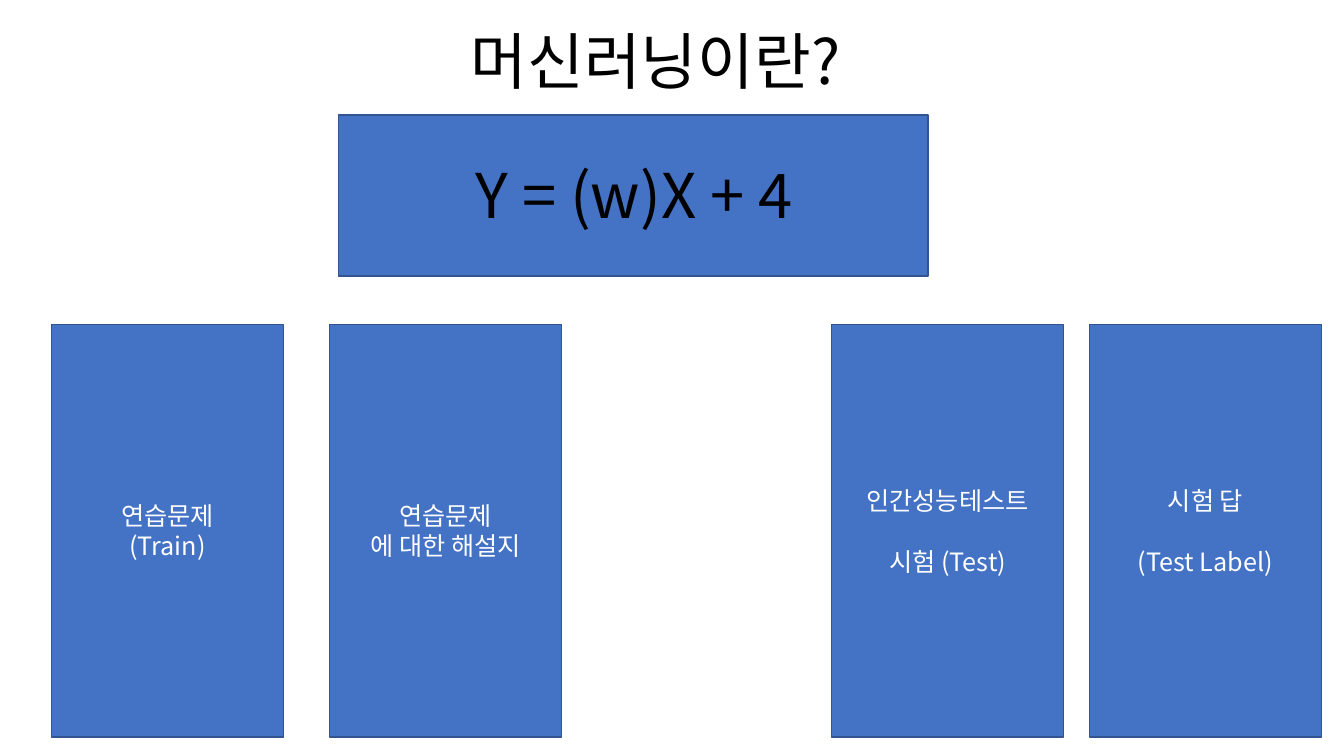
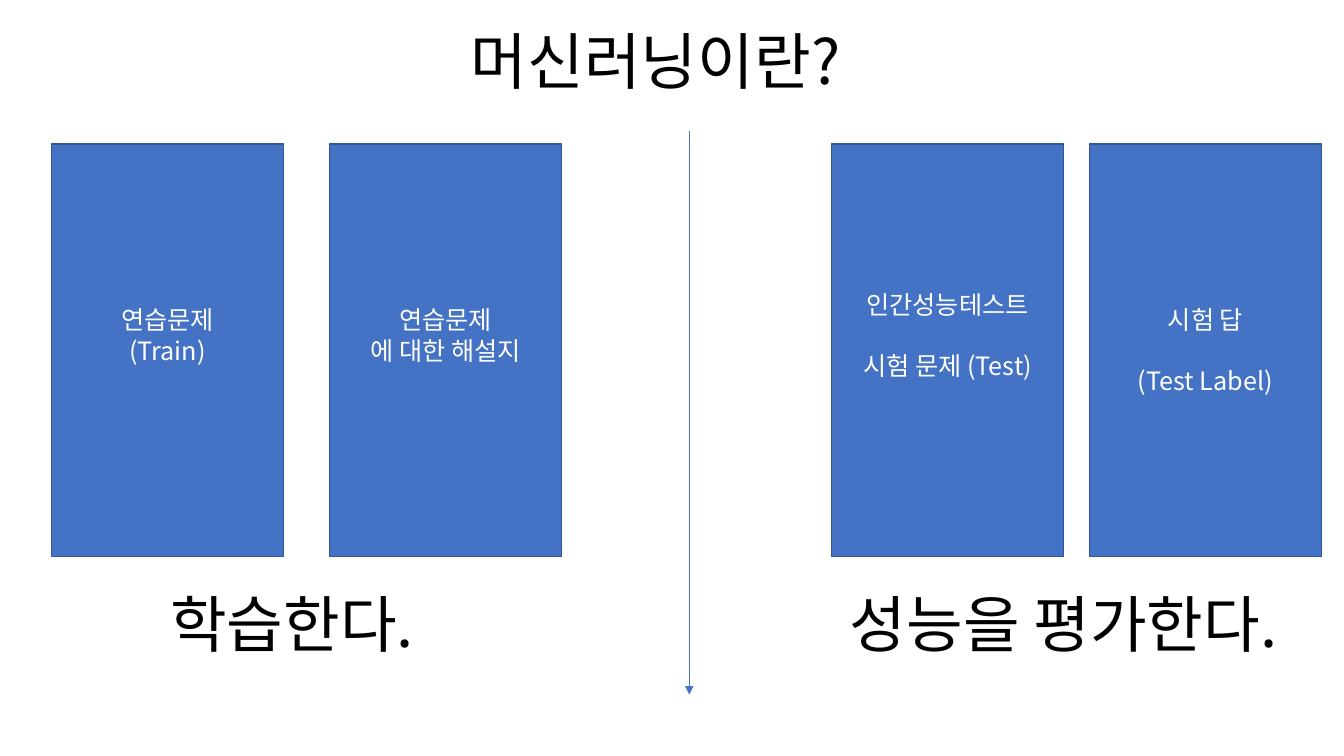
"""Build two slides that explain machine learning through practice and test questions."""
from lxml import etree
from pptx import Presentation
from pptx.dml.color import RGBColor
from pptx.enum.shapes import MSO_CONNECTOR, MSO_SHAPE
from pptx.enum.text import MSO_ANCHOR, MSO_AUTO_SIZE, PP_ALIGN
from pptx.oxml.ns import qn
from pptx.util import Cm, Pt

FONT = "Noto Sans CJK KR"
BLUE = RGBColor(0x44, 0x72, 0xC4)
NAVY = RGBColor(0x32, 0x54, 0x91)
BLACK = RGBColor(0, 0, 0)
WHITE = RGBColor(255, 255, 255)

TITLE = "머신러닝이란?"
EQUATION = "Y = (w)X + 4"
TRAIN = ["연습문제", "(Train)"]
TRAIN_LABEL = ["연습문제", "에 대한 해설지"]
TEST_LABEL = ["시험 답", "(Test Label)"]
CARD_LEFTS = [1.3, 8.31, 20.96, 27.46]
CARD_GAPS = [0, 0, 22, 22]
CARD_SIZE = (5.84, 10.39)
CAPTIONS = [("성능을 평가한다.", 20.75), ("학습한다.", 1.3)]
BOTTOM_INSET, RAISED_INSET = 0.13, 0.89

MODEL_CARDS = [
    (TRAIN, BOTTOM_INSET),
    (TRAIN_LABEL, BOTTOM_INSET),
    (["인간성능테스트", "시험 (Test)"], BOTTOM_INSET),
    (TEST_LABEL, BOTTOM_INSET),
]
PROCESS_CARDS = [
    (TRAIN, RAISED_INSET),
    (TRAIN_LABEL, RAISED_INSET),
    (["인간성능테스트", "시험 문제 (Test)"], RAISED_INSET),
    (TEST_LABEL, BOTTOM_INSET),
]


def write(frame, lines, size, color, gap=0):
    frame.word_wrap = True
    for index, line in enumerate(lines):
        paragraph = frame.add_paragraph() if index else frame.paragraphs[0]
        paragraph.alignment = PP_ALIGN.CENTER
        if index and gap:
            paragraph.space_before = Pt(gap)
        run = paragraph.add_run()
        run.text = line
        run.font.size = Pt(size)
        run.font.name = FONT
        run.font.color.rgb = color
        etree.SubElement(run.font._element, qn("a:ea"), typeface=FONT)


def add_heading(slide, text, left, top, width):
    box = slide.shapes.add_textbox(Cm(left), Cm(top), Cm(width), Cm(2.13))
    write(box.text_frame, [text], 44, BLACK)
    box.text_frame.auto_size = MSO_AUTO_SIZE.SHAPE_TO_FIT_TEXT


def add_box(slide, left, top, width, height):
    box = slide.shapes.add_shape(
        MSO_SHAPE.RECTANGLE, Cm(left), Cm(top), Cm(width), Cm(height))
    box.shadow.inherit = False
    box.fill.solid()
    box.fill.fore_color.rgb = BLUE
    box.line.color.rgb = NAVY
    box.line.width = Pt(1)
    return box


def add_cards(slide, cards, top):
    for (lines, inset), left, gap in zip(cards, CARD_LEFTS, CARD_GAPS):
        frame = add_box(slide, left, top, *CARD_SIZE).text_frame
        frame.vertical_anchor = MSO_ANCHOR.MIDDLE
        frame.margin_bottom = Cm(inset)
        write(frame, lines, 18, WHITE, gap)


def add_arrow(slide, x, top, bottom):
    arrow = slide.shapes.add_connector(
        MSO_CONNECTOR.STRAIGHT, Cm(x), Cm(top), Cm(x), Cm(bottom))
    arrow.line.color.rgb = BLUE
    arrow.line.width = Pt(0.5)
    etree.SubElement(arrow.line._get_or_add_ln(), qn("a:tailEnd"), type="triangle")
    etree.SubElement(arrow._element.spPr, qn("a:effectLst"))


def add_titled_slide(prs):
    slide = prs.slides.add_slide(prs.slide_layouts[6])
    add_heading(slide, TITLE, 3.28, 0.46, 26.49)
    return slide


prs = Presentation()
prs.slide_width, prs.slide_height = Cm(33.87), Cm(19.05)

model = add_titled_slide(prs)
add_box(model, 8.53, 2.9, 14.86, 4.06)
add_heading(model, EQUATION, 10.01, 3.84, 11.94)
add_cards(model, MODEL_CARDS, 8.18)

process = add_titled_slide(prs)
add_cards(process, PROCESS_CARDS, 3.63)
for caption, left in CAPTIONS:
    add_heading(process, caption, left, 14.63, 12.12)
add_arrow(process, 17.37, 3.3, 17.5)

prs.save("out.pptx")
